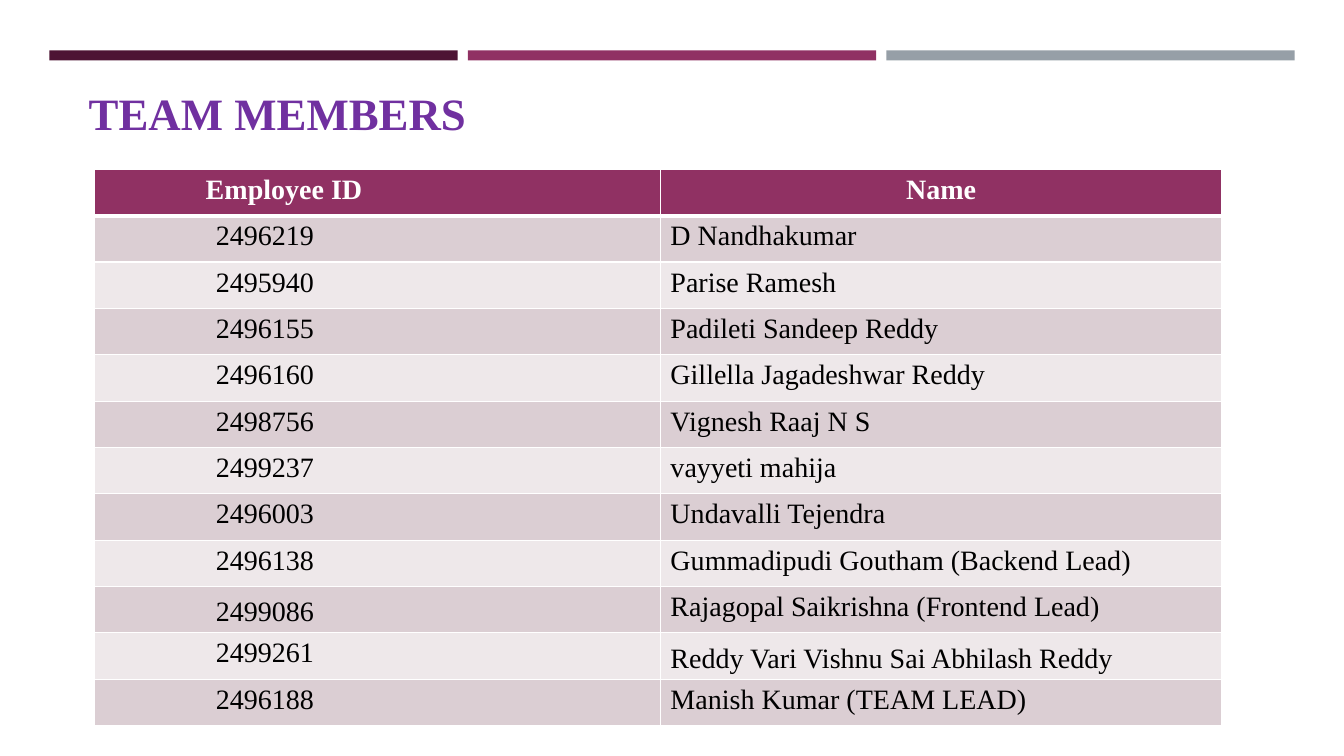
"""Build the team members slide: three top bars, a title and a staff table."""
from lxml import etree
from pptx import Presentation
from pptx.dml.color import RGBColor
from pptx.enum.shapes import MSO_SHAPE
from pptx.enum.text import MSO_ANCHOR, MSO_AUTO_SIZE, PP_ALIGN
from pptx.oxml.ns import qn
from pptx.util import Inches, Pt

RECT = MSO_SHAPE.RECTANGLE
TOP, LOW = MSO_ANCHOR.TOP, MSO_ANCHOR.BOTTOM
LEFT, MID = PP_ALIGN.LEFT, PP_ALIGN.CENTER
FIXED = MSO_AUTO_SIZE.NONE
FONT = "Times New Roman"
HUES = {"plum": "4D1434", "berry": "903163", "grey": "969FA7",
        "title": "7030A0", "white": "FFFFFF", "black": "000000",
        "dark": "DBCED3", "light": "EEE8EA"}
STAFF = [
    ("2496219", "D Nandhakumar"),
    ("2495940", "Parise Ramesh"),
    ("2496155", "Padileti Sandeep Reddy"),
    ("2496160", "Gillella Jagadeshwar Reddy"),
    ("2498756", "Vignesh Raaj N S"),
    ("2499237", "vayyeti mahija"),
    ("2496003", "Undavalli Tejendra"),
    ("2496138", "Gummadipudi Goutham (Backend Lead)"),
    ("2499086", "Rajagopal Saikrishna (Frontend Lead)"),
    ("2499261", "Reddy Vari Vishnu Sai Abhilash Reddy"),
    ("2496188", "Manish Kumar (TEAM LEAD)"),
]
LOWERED = {"2499086", "Reddy Vari Vishnu Sai Abhilash Reddy"}


def write(frame, text, size=20, hue="black", bold=False, align=LEFT):
    para = frame.paragraphs[0]
    para.alignment = align
    run = para.add_run()
    run.text = text
    run.font.name = FONT
    run.font.size = Pt(size)
    run.font.bold = bold
    run.font.color.rgb = RGBColor.from_string(HUES[hue])


def edge(cell, sides):
    props = cell._tc.get_or_add_tcPr()
    for spot, (side, width) in enumerate(sides.items()):
        line = etree.Element(qn(f"a:ln{side}"), w=str(Pt(width)))
        fill = etree.SubElement(line, qn("a:solidFill"))
        etree.SubElement(fill, qn("a:srgbClr"), val=HUES["white"])
        props.insert(spot, line)


deck = Presentation()
deck.slide_width, deck.slide_height = Inches(13.33), Inches(7.5)
slide = deck.slides.add_slide(deck.slide_layouts[5])

for col, hue in enumerate(["plum", "berry", "grey"]):
    bar = slide.shapes.add_shape(RECT, Inches(0.49 + 4.15 * col), Inches(0.5),
                                 Inches(4.05), Inches(0.1))
    bar.shadow.inherit = False
    bar.fill.solid()
    bar.fill.fore_color.rgb = RGBColor.from_string(HUES[hue])
    bar.line.fill.background()

title = slide.shapes.title
title.left, title.top = Inches(0.78), Inches(0.8)
title.width, title.height = Inches(4.27), Inches(0.64)
title.text_frame.auto_size = FIXED
title.text_frame.vertical_anchor = TOP
write(title.text_frame, "TEAM MEMBERS", size=32, hue="title", bold=True)

rows = [("Employee ID", "Name")] + STAFF
table = slide.shapes.add_table(len(rows), 2, Inches(0.94), Inches(1.68),
                               Inches(11.18), Inches(5.52)).table
table.columns[0].width, table.columns[1].width = Inches(5.61), Inches(5.57)

for row, texts in enumerate(rows):
    table.rows[row].height = Inches(0.46)
    head = row == 0
    hue = "berry" if head else "dark" if row % 2 else "light"
    for col, text in enumerate(texts):
        cell = table.cell(row, col)
        cell.fill.solid()
        cell.fill.fore_color.rgb = RGBColor.from_string(HUES[hue])
        cell.vertical_anchor = LOW if text in LOWERED else TOP
        if col == 0:
            cell.margin_left = Inches(1.1 if head else 1.2)
        write(cell.text_frame, text, hue="white" if head else "black",
              bold=head, align=MID if head and col else LEFT)
        edge(cell, {"L": 1, "R": 1, "T": 3 if row == 1 else 1,
                    "B": 3 if head else 1})

deck.save("out.pptx")
